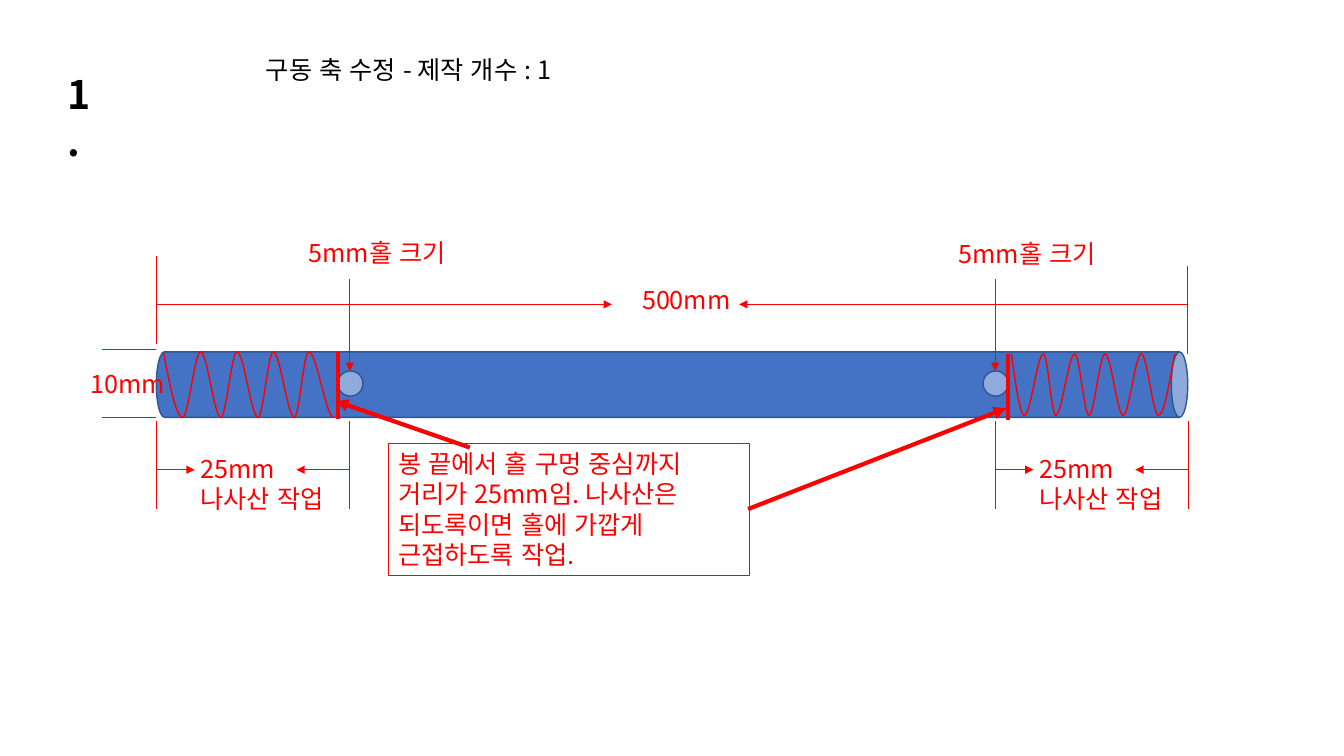
from dataclasses import dataclass

from lxml.etree import SubElement
from pptx import Presentation
from pptx.dml.color import RGBColor
from pptx.enum.lang import MSO_LANGUAGE_ID as Language
from pptx.enum.shapes import MSO_CONNECTOR as Connector, MSO_SHAPE as Shape
from pptx.enum.text import MSO_ANCHOR as Anchor, MSO_AUTO_SIZE as AutoSize, PP_ALIGN as Align
from pptx.oxml.ns import qn
from pptx.util import Inches, Pt


@dataclass(frozen=True)
class Theme:
    font: str = "Noto Sans CJK KR"
    red: RGBColor = RGBColor(0xFF, 0x00, 0x00)
    black: RGBColor = RGBColor(0x00, 0x00, 0x00)
    steel: RGBColor = RGBColor(0x44, 0x72, 0xC4)
    hole: RGBColor = RGBColor(0x8F, 0xAA, 0xDC)
    edge: RGBColor = RGBColor(0x32, 0x54, 0x91)
    body: int = 18
    number: int = 28
    thin: float = 0.5
    frame: float = 0.75
    outline: float = 1
    thick: float = 3


THEME = Theme()


def style_shape(shape, fill, line, width):
    shape.shadow.inherit = False
    if fill is None:
        shape.fill.background()
    else:
        shape.fill.solid()
        shape.fill.fore_color.rgb = fill
    shape.line.color.rgb = line
    shape.line.width = Pt(width)


def add_part(slide, kind, left, top, width, height, fill, line=THEME.edge, weight=THEME.outline):
    shape = slide.shapes.add_shape(kind, Inches(left), Inches(top), Inches(width), Inches(height))
    style_shape(shape, fill, line, weight)
    return shape


def add_line(slide, start, end, width=THEME.thin, arrow=False):
    line = slide.shapes.add_connector(Connector.STRAIGHT, *map(Inches, start + end))
    line.line.color.rgb = THEME.red
    line.line.width = Pt(width)
    if arrow:
        SubElement(line.line._get_or_add_ln(), qn("a:tailEnd"), type="triangle")
    SubElement(line._element.spPr, qn("a:effectLst"))


def write_text(shape, lines, size=THEME.body, color=THEME.red, bold=False):
    frame = shape.text_frame
    frame.word_wrap = True
    frame.auto_size = AutoSize.SHAPE_TO_FIT_TEXT
    for index, text in enumerate(lines):
        paragraph = frame.add_paragraph() if index else frame.paragraphs[0]
        paragraph.alignment = Align.LEFT
        run = paragraph.add_run()
        run.text = text
        run.font.name = THEME.font
        run.font.size = Pt(size)
        run.font.bold = bold
        run.font.color.rgb = color
        run.font.language_id = Language.KOREAN


def add_label(slide, left, top, width, height, *lines, **style):
    box = slide.shapes.add_textbox(Inches(left), Inches(top), Inches(width), Inches(height))
    write_text(box, lines, **style)


def add_thread(slide, turns, last_pull=0.5):
    """Draw one curve per half turn, level at every inner turning point."""
    points = []
    last = len(turns) - 2
    for index, ((x1, y1), (x2, y2)) in enumerate(zip(turns, turns[1:])):
        third, rise = (x2 - x1) / 3, y2 - y1
        leave = 0.5 if index == 0 else 0
        arrive = last_pull if index == last else 0
        points += [(x1 + third, y1 + rise * leave), (x2 - third, y2 - rise * arrive), (x2, y2)]
    builder = slide.shapes.build_freeform(*map(Inches, turns[0]))
    builder.add_line_segments([tuple(map(Inches, point)) for point in points], close=False)
    thread = builder.convert_to_shape()
    style_shape(thread, None, THEME.red, THEME.outline)

    # Join every three straight segments into one curve
    segments = list(thread._element.iter(qn("a:lnTo")))
    outline = segments[0].getparent()
    for start in range(0, len(segments), 3):
        curve = SubElement(outline, qn("a:cubicBezTo"))
        for segment in segments[start:start + 3]:
            curve.append(segment[0])
            outline.remove(segment)


def zigzag(xs, high, low):
    return [(x, low if index % 2 else high) for index, x in enumerate(xs)]


def add_length_dimension(slide):
    add_line(slide, (1.55, 3.41), (1.55, 2.54))
    add_line(slide, (11.78, 3.51), (11.78, 2.64))
    add_line(slide, (1.55, 3.02), (6.07, 3.02), arrow=True)
    add_line(slide, (11.78, 3.02), (7.33, 3.02), arrow=True)
    add_label(slide, 6.27, 2.77, 1.27, 0.4, "500mm")


def add_diameter_dimension(slide):
    for y in (3.47, 4.14):
        add_line(slide, (1.01, y), (1.55, y))
    add_label(slide, 0.8, 3.61, 0.95, 0.4, "10mm")


def add_thread_dimension(slide, left):
    right = left + 1.92
    for x in (left, right):
        add_line(slide, (x, 5.05), (x, 4.18))
    add_line(slide, (left, 4.66), (left + 0.38, 4.66), arrow=True)
    add_line(slide, (right, 4.66), (right - 0.53, 4.66), arrow=True)
    add_label(slide, left + 0.34, 4.45, 1.69, 0.71, "25mm ", "나사산 작업")


def add_note(slide):
    note = add_part(slide, Shape.RECTANGLE, 3.85, 4.4, 3.58, 1.31, None, THEME.red, THEME.frame)
    note.text_frame.vertical_anchor = Anchor.TOP
    write_text(note, ["봉 끝에서 홀 구멍 중심까지 거리가 25mm임. "
                      "나사산은 되도록이면 홀에 가깝게 근접하도록 작업."])
    add_line(slide, (7.42, 5.05), (9.98, 4.05), THEME.thick, arrow=True)
    add_line(slide, (4.66, 4.44), (3.33, 3.98), THEME.thick, arrow=True)


def main():
    presentation = Presentation()
    presentation.slide_width, presentation.slide_height = Inches(13.33), Inches(7.5)
    slide = presentation.slides.add_slide(presentation.slide_layouts[6])

    # Shaft
    shaft = add_part(slide, Shape.CAN, 6.34, -1.3, 0.65, 10.23, THEME.steel)
    shaft.rotation = 90

    # Dimensions
    add_length_dimension(slide)
    add_diameter_dimension(slide)
    for left in (1.55, 9.87):
        add_thread_dimension(slide, left)

    # Holes with their labels and pointers
    for left in (9.75, 3.35):
        add_part(slide, Shape.FLOWCHART_CONNECTOR, left, 3.68, 0.25, 0.25, THEME.hole)
    for left, top in ((2.96, 2.31), (9.41, 2.32)):
        add_label(slide, left, top, 1.69, 0.4, "5mm홀 크기")
    for center in (3.47, 9.87):
        add_line(slide, (center, 2.77), (center, 3.68), arrow=True)

    # Heading
    add_label(slide, 2.54, 0.49, 4.26, 0.4, "구동 축 수정 - 제작 개수 : 1 ", color=THEME.black)

    # Thread limits and note
    add_line(slide, (3.35, 4.16), (3.35, 3.49), THEME.thick)
    add_line(slide, (10, 4.17), (10, 3.51), THEME.thick)
    add_note(slide)

    # Item number
    add_label(slide, 0.57, 0.65, 0.54, 0.57, "1.",
              size=THEME.number, color=THEME.black, bold=True)

    # Threads
    add_thread(slide, zigzag((1.62, 1.81, 1.99, 2.19, 2.35, 2.56, 2.71, 2.92, 3.06, 3.3),
                             3.49, 4.14), last_pull=0.1)
    add_thread(slide, zigzag((11.65, 11.49, 11.32, 11.14, 10.96, 10.8, 10.66, 10.47,
                              10.35, 10.16, 10.03), 3.51, 4.12))

    presentation.save("out.pptx")


main()
